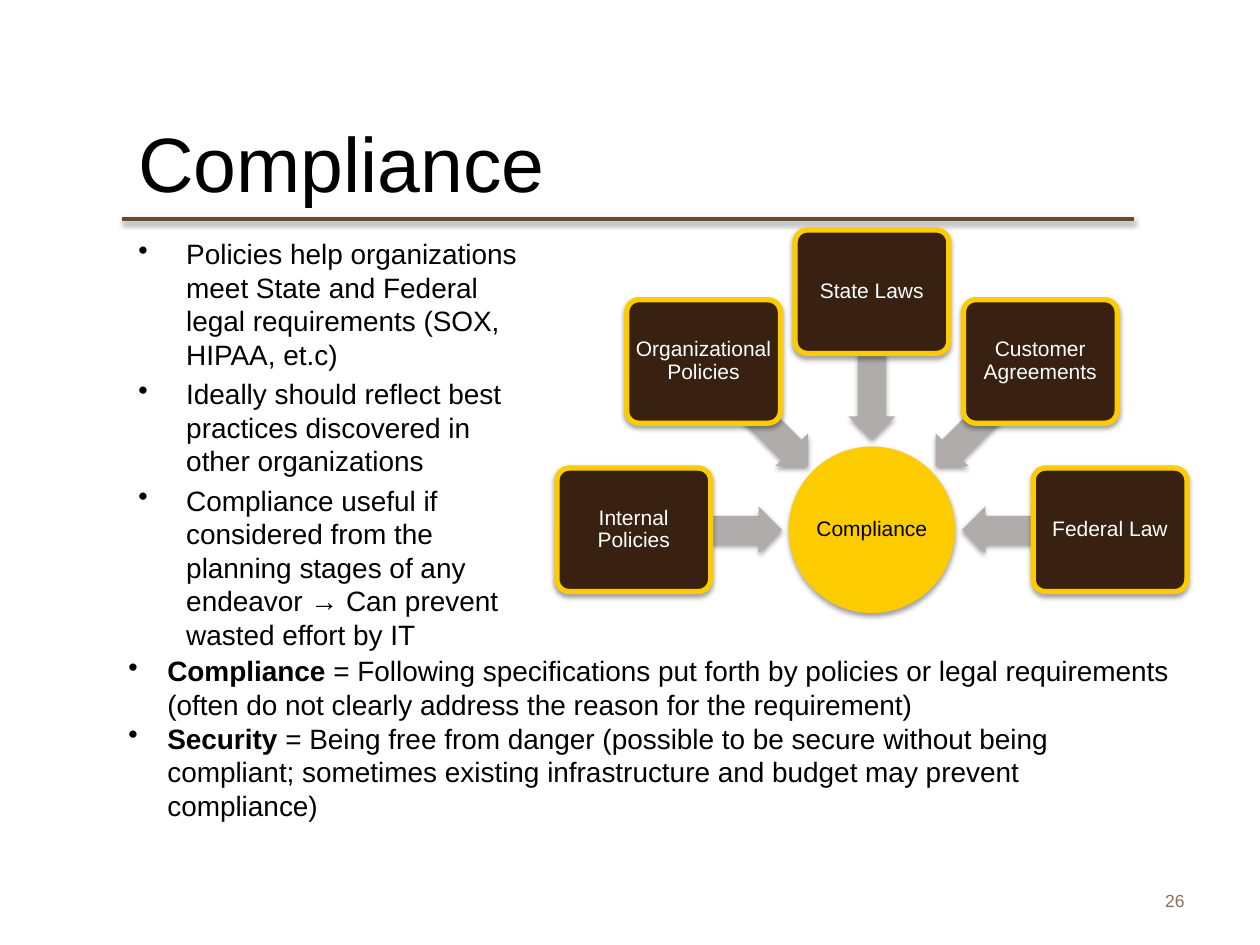
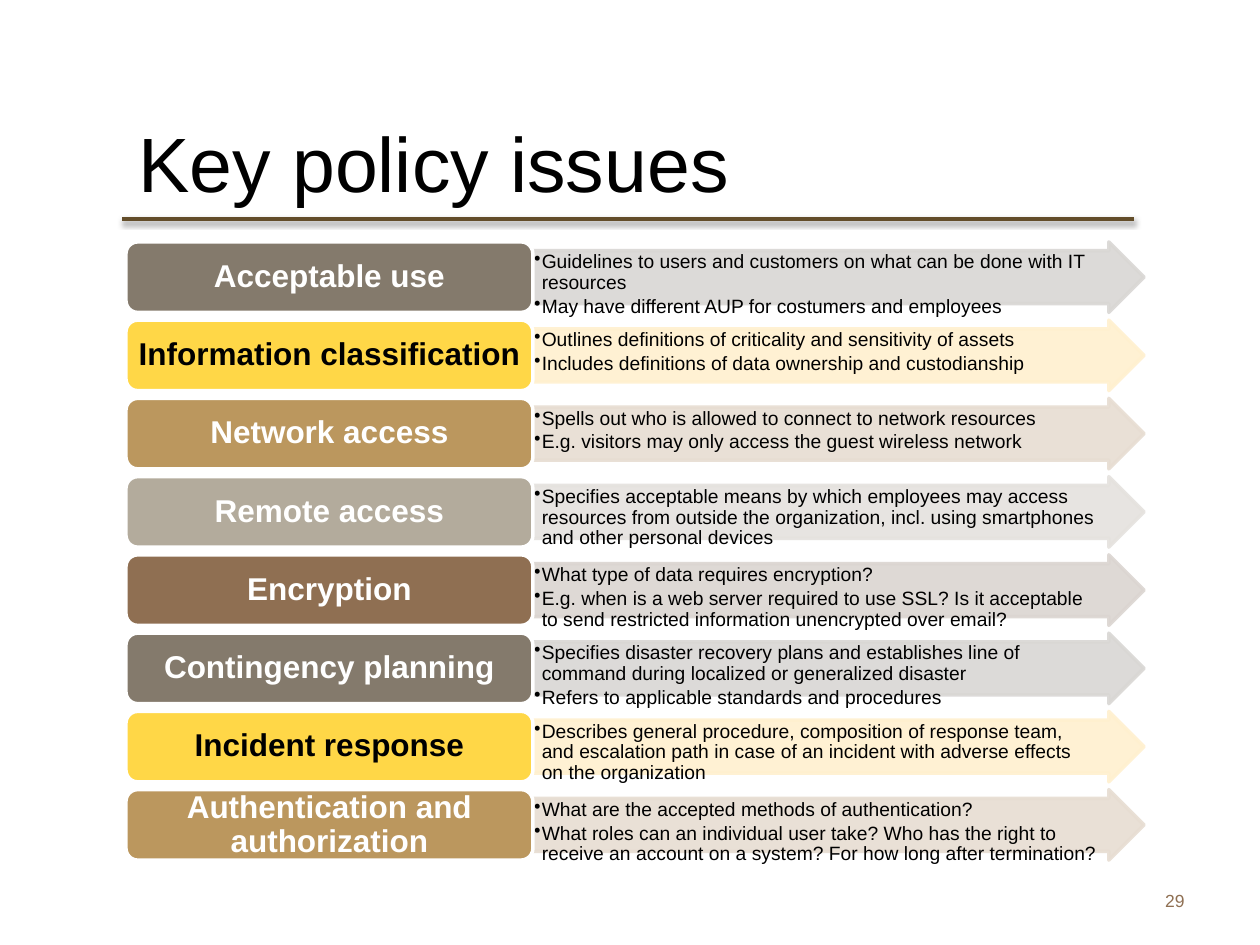
from math import cos, radians, sin

from lxml import etree
from pptx import Presentation
from pptx import util as u
from pptx.dml.color import RGBColor
from pptx.enum import shapes, text
from pptx.oxml.ns import qn

COLORS = {
    "ink": "000000", "paper": "FFFFFF", "rule": "634D2A", "number": "8F6F52",
    "gold": "FCCC00", "bark": "382111", "spoke": "AFACAB",
    "stone": "847A6C", "stone tint": "D9D7D4",
    "yellow": "FFD747", "yellow tint": "FFF0CF",
    "tan": "BB975E", "tan tint": "E7DDD2",
    "sage": "B3AB9C", "sage tint": "E5E2DE",
    "brown": "8F6F52", "brown tint": "DBD5D1",
}
FONT = "Arial"
COLUMNS, ROWS = 100, 75
LEFT, CENTER, RIGHT = text.PP_ALIGN.LEFT, text.PP_ALIGN.CENTER, text.PP_ALIGN.RIGHT
TOP, MIDDLE = text.MSO_ANCHOR.TOP, text.MSO_ANCHOR.MIDDLE
SHAPE = shapes.MSO_SHAPE

BENEFITS = [
    "Policies help organizations meet State and Federal legal requirements (SOX, HIPAA, et.c)",
    "Ideally should reflect best practices discovered in other organizations",
    "Compliance useful if considered from the planning stages of any endeavor → "
    "Can prevent wasted effort by IT",
]
DEFINITIONS = [
    ("Compliance", " = Following specifications put forth by policies or legal requirements "
     "(often do not clearly address the reason for the requirement)"),
    ("Security", " = Being free from danger (possible to be secure without being compliant; "
     "sometimes existing infrastructure and budget may prevent compliance)"),
]
SOURCES = ["Internal Policies", "Organizational Policies", "State Laws",
           "Customer Agreements", "Federal Law"]
ISSUE_COLORS = ["stone", "yellow", "tan", "sage", "brown"]
ISSUES = [
    ("Acceptable use", [
        "Guidelines to users and customers on what can be done with IT resources",
        "May have different AUP for costumers and employees"]),
    ("Information classification", [
        "Outlines definitions of criticality and sensitivity of assets",
        "Includes definitions of data ownership and custodianship"]),
    ("Network access", [
        "Spells out who is allowed to connect to network resources",
        "E.g. visitors may only access the guest wireless network"]),
    ("Remote access", [
        "Specifies acceptable means by which employees may access resources from outside "
        "the organization, incl. using smartphones and other personal devices"]),
    ("Encryption", [
        "What type of data requires encryption?",
        "E.g. when is a web server required to use SSL? Is it acceptable to send "
        "restricted information unencrypted over email?"]),
    ("Contingency planning", [
        "Specifies disaster recovery plans and establishes line of command during "
        "localized or generalized disaster",
        "Refers to applicable standards and procedures"]),
    ("Incident response", [
        "Describes general procedure, composition of response team, and escalation path "
        "in case of an incident with adverse effects on the organization"]),
    ("Authentication and authorization", [
        "What are the accepted methods of authentication?",
        "What roles can an individual user take? Who has the right to receive an account "
        "on a system? For how long after termination?"]),
]


def rgb(color):
    return RGBColor.from_string(COLORS[color])


def write(frame, content, size=16, color="ink", bold=False, align=LEFT, anchor=TOP,
          margins=(0.1, 0.05, 0.1, 0.05), bullet=None, spacing=None, before=0, after=0):
    frame.word_wrap = True
    frame.vertical_anchor = anchor
    frame.margin_left, frame.margin_top, frame.margin_right, frame.margin_bottom = map(
        u.Inches, margins)
    for index, entry in enumerate([content] if isinstance(content, str) else content):
        paragraph = frame.add_paragraph() if index else frame.paragraphs[0]
        paragraph.alignment = align
        paragraph.line_spacing = spacing
        paragraph.space_before = u.Pt(before if index else 0)
        paragraph.space_after = u.Pt(after)
        lead, body = ("", entry) if isinstance(entry, str) else entry
        for words, heavy in ((lead, True), (body, bold)):
            if words:
                run = paragraph.add_run()
                run.text = words
                run.font.name, run.font.size, run.font.bold = FONT, u.Pt(size), heavy
                run.font.color.rgb = rgb(color)
        if bullet:
            indent, hang = bullet
            props = paragraph._p.get_or_add_pPr()
            props.set("marL", str(u.Inches(indent)))
            props.set("indent", str(-u.Inches(hang)))
            etree.SubElement(props, qn("a:buChar"), char="•")


class Deck:
    def __init__(self):
        self.show = Presentation()
        self.show.slide_width, self.show.slide_height = u.Inches(10), u.Inches(7.5)
        self.slide = None

    def col(self, count):
        return round(self.show.slide_width * count / COLUMNS)

    def row(self, count):
        return round(self.show.slide_height * count / ROWS)

    def area(self, left, top, width, height):
        return self.col(left), self.row(top), self.col(width), self.row(height)

    def page(self, title, number):
        self.slide = self.show.slides.add_slide(self.show.slide_layouts[6])
        self.rule(9.7, 90, 17.4)
        self.label((71.7, 69.5, 23.3, 4), number, size=10, color="number",
                   align=RIGHT, anchor=MIDDLE)
        self.label((10, 8.2, 80, 9.3), title, size=44, anchor=MIDDLE)

    def label(self, area, content, **style):
        box = self.slide.shapes.add_textbox(*self.area(*area))
        write(box.text_frame, content, **style)

    def rule(self, start, end, level):
        line = self.slide.shapes.add_connector(
            shapes.MSO_CONNECTOR.STRAIGHT,
            self.col(start), self.row(level), self.col(end), self.row(level))
        line.line.color.rgb, line.line.width = rgb("rule"), u.Pt(2)
        self.effects(line, True)

    def block(self, kind, area, fill, line=None, weight=2, adjust=(), turn=0,
              opacity=None, shadow=False, content=None, **style):
        block = self.slide.shapes.add_shape(kind, *self.area(*area))
        for index, value in enumerate(adjust):
            block.adjustments[index] = value
        block.rotation = turn
        block.fill.solid()
        block.fill.fore_color.rgb = rgb(fill)
        if line:
            block.line.color.rgb, block.line.width = rgb(line), u.Pt(weight)
        else:
            block.line.fill.background()
        if opacity:
            for tone in block.element.spPr.iter(qn("a:srgbClr")):
                etree.SubElement(tone, qn("a:alpha"), val=str(opacity * 1000))
        self.effects(block, shadow)
        if content:
            write(block.text_frame, content, **style)

    def effects(self, shape, shadow):
        effects = etree.SubElement(shape.element.spPr, qn("a:effectLst"))
        if shadow:
            outer = etree.SubElement(
                effects, qn("a:outerShdw"), blurRad=str(u.Pt(3.1)), dist=str(u.Pt(1.6)),
                dir="5400000", rotWithShape="0")
            tone = etree.SubElement(outer, qn("a:srgbClr"), val=COLORS["ink"])
            etree.SubElement(tone, qn("a:alpha"), val="38000")


def centered(x, y, width, height):
    return x - width / 2, y - height / 2, width, height


def compliance(deck):
    deck.page("Compliance", "26")
    deck.label((10, 18.3, 33, 47.5), BENEFITS, bullet=(0.38, 0.38), before=3.2)
    hub_x, hub_y = 69.2, 42.05
    source_radius, spoke_radius = 18.9, 13
    caption = dict(size=12, align=CENTER, anchor=MIDDLE, spacing=0.9)
    deck.block(SHAPE.OVAL, centered(hub_x, hub_y, 12.8, 12.8), "gold", line="gold",
               weight=3, shadow=True, content="Compliance", margins=(0.01,) * 4, **caption)
    for index, source in enumerate(SOURCES):
        angle = 180 + index * 45
        across, down = cos(radians(angle)), sin(radians(angle))
        deck.block(SHAPE.LEFT_ARROW,
                   centered(hub_x + spoke_radius * across, hub_y + spoke_radius * down,
                            11.7, 3.7),
                   "spoke", adjust=(0.6, 0.5), turn=angle % 360, shadow=True)
        deck.block(SHAPE.ROUNDED_RECTANGLE,
                   centered(hub_x + source_radius * across, hub_y + source_radius * down,
                            12.2, 9.8),
                   "bark", line="gold", weight=3, adjust=(0.1,), shadow=True,
                   content=source, color="paper", margins=(0.03,) * 4, **caption)
    deck.label((4.2, 51.4, 90, 14.5), DEFINITIONS, bullet=(0.81, 0.31))


def key_issues(deck):
    deck.page("Key policy issues", "29")
    first_row, pitch, height = 19.2, 6.21, 5.6
    for index, (issue, details) in enumerate(ISSUES):
        top = first_row + index * pitch
        color = ISSUE_COLORS[index % len(ISSUE_COLORS)]
        tint = color + " tint"
        deck.block(SHAPE.RIGHT_ARROW, (42.3, top, 48.5, height), tint, line=tint,
                   adjust=(0.75, 0.5), opacity=90, content=details, size=11,
                   margins=(0.01, 0.01, 0.15, 0.01), bullet=(0.06, 0.06),
                   spacing=0.9, after=1.7)
        deck.block(SHAPE.ROUNDED_RECTANGLE, (10, top, 32.3, height), color, line="paper",
                   content=issue, size=18, color="ink" if color == "yellow" else "paper",
                   bold=True, align=CENTER, anchor=MIDDLE, spacing=0.9,
                   margins=(0.06, 0.04, 0.06, 0.04))


def main():
    deck = Deck()
    compliance(deck)
    key_issues(deck)
    deck.show.save("out.pptx")


if __name__ == "__main__":
    main()
